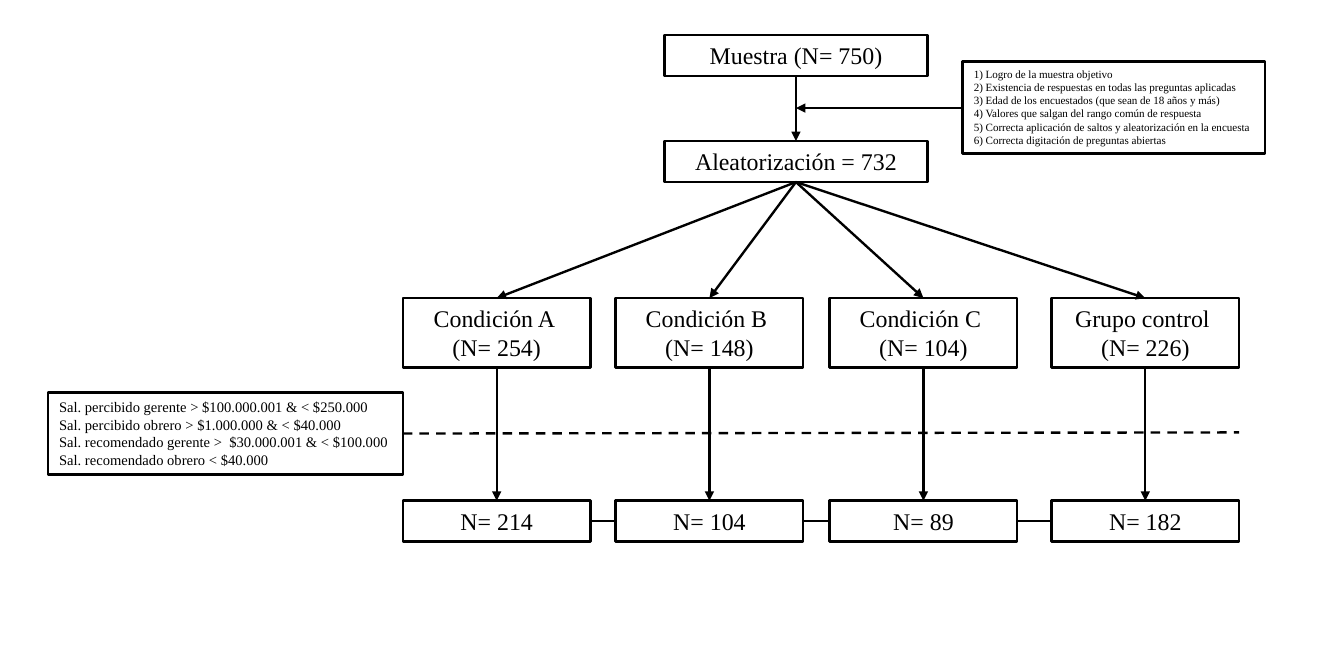
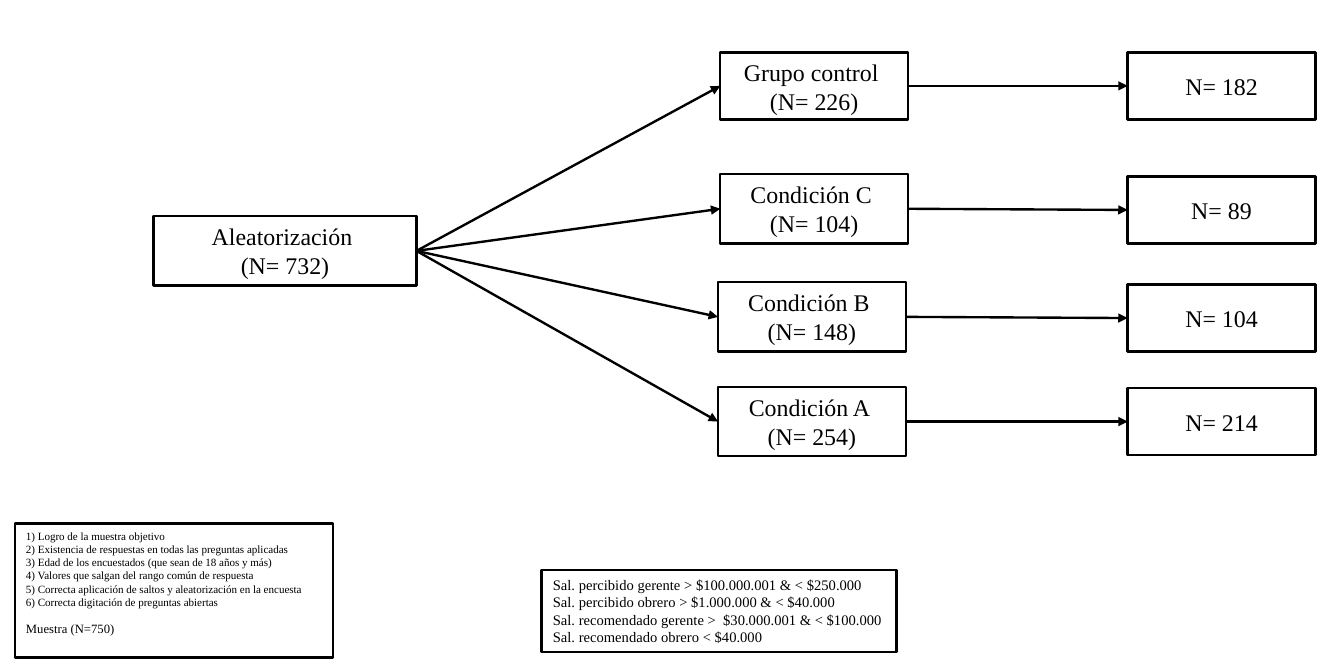
from lxml import etree
from pptx import Presentation
from pptx.dml.color import RGBColor
from pptx.enum.dml import MSO_LINE
from pptx.enum.shapes import MSO_CONNECTOR, MSO_SHAPE
from pptx.enum.text import MSO_ANCHOR, PP_ALIGN
from pptx.oxml.ns import qn
from pptx.util import Inches, Pt

BLACK = RGBColor(0x00, 0x00, 0x00)
WHITE = RGBColor(0xFF, 0xFF, 0xFF)
FONT = "Times New Roman"
STROKE = Pt(1.5)
RECT = MSO_SHAPE.RECTANGLE
STRAIGHT = MSO_CONNECTOR.STRAIGHT
DASH = MSO_LINE.DASH
LEFT, CENTER = PP_ALIGN.LEFT, PP_ALIGN.CENTER
TOP, MIDDLE = MSO_ANCHOR.TOP, MSO_ANCHOR.MIDDLE

# The slide is 30 by 15 cm
CM = 1 / 2.54
SLIDE_W, SLIDE_H = 30 * CM, 15 * CM

# Connection sites of a rectangle
NORTH, WEST, SOUTH, EAST = range(4)

BOX_W, TALL, LOW = 1.65, 0.61, 0.36
HEAD_W = 2.31

# Name, cases assigned, cases kept
GROUPS = [
    ("Condición A ", 254, 214),
    ("Condición B ", 148, 104),
    ("Condición C ", 104, 89),
    ("Grupo control ", 226, 182),
]
CHECKS = [
    "1) Logro de la muestra objetivo",
    "2) Existencia de respuestas en todas las preguntas aplicadas",
    "3) Edad de los encuestados (que sean de 18 años y más)",
    "4) Valores que salgan del rango común de respuesta",
    "5) Correcta aplicación de saltos y aleatorización en la encuesta",
    "6) Correcta digitación de preguntas abiertas",
]
LIMITS = [
    "Sal. percibido gerente > $100.000.001 & < $250.000",
    "Sal. percibido obrero > $1.000.000 & < $40.000",
    "Sal. recomendado gerente >  $30.000.001 & < $100.000",
    "Sal. recomendado obrero < $40.000",
]


def write(frame, lines, size=15.1, align=CENTER, anchor=TOP):
    frame.word_wrap = True
    frame.vertical_anchor = anchor
    for i, line in enumerate(lines):
        para = frame.paragraphs[0] if i == 0 else frame.add_paragraph()
        add_run(para, line, size, align)


def add_run(para, text, size, align):
    para.alignment = align
    run = para.add_run()
    run.text = text
    run.font.name = FONT
    run.font.size = Pt(size)
    run.font.color.rgb = BLACK


def add_box(slide, x, y, w, h, lines, **style):
    box = slide.shapes.add_shape(RECT, Inches(x), Inches(y), Inches(w), Inches(h))
    box.shadow.inherit = False
    box.fill.solid()
    box.fill.fore_color.rgb = WHITE
    box.line.color.rgb = BLACK
    box.line.width = STROKE
    write(box.text_frame, lines, **style)
    return box


def add_line(slide, start, end, arrow=True, dash=None):
    """Join two points in inches."""
    link = slide.shapes.add_connector(STRAIGHT, *(Inches(v) for v in (*start, *end)))
    link.line.color.rgb = BLACK
    link.line.width = STROKE
    if dash:
        link.line.dash_style = dash
    if arrow:
        etree.SubElement(link.line._get_or_add_ln(), qn("a:tailEnd"), type="triangle")
    etree.SubElement(link._element.spPr, qn("a:effectLst"))
    return link


def join(slide, first, out, second, into, arrow=True):
    """Glue a line to one site of each box."""
    link = add_line(slide, (0, 0), (0, 0), arrow)
    link.begin_connect(first, out)
    link.end_connect(second, into)


def add_checks(slide, x, y, w, h):
    return add_box(slide, x, y, w, h, CHECKS, size=7, align=LEFT)


def add_limits(slide, x, y):
    return add_box(slide, x, y, 3.12, 0.72, LIMITS, size=9.2, align=LEFT)


def add_column(slide, x, y, group):
    """Place a group above the cases it keeps."""
    name, cases, kept = group
    top = add_box(slide, x, y, BOX_W, TALL, [name, f"(N= {cases})"])
    base = add_box(slide, x, y + 1.78, BOX_W, LOW, [f"N= {kept}"])
    join(slide, top, SOUTH, base, NORTH)
    return top, base


def add_row(slide, x, y, h, end_y, group):
    """Place a group to the left of the cases it keeps."""
    name, cases, kept = group
    box = add_box(slide, x, y, BOX_W, h, [name, f"(N= {cases})"])
    end = add_box(slide, 9.91, end_y, BOX_W, 0.59, [f"N= {kept}"], anchor=MIDDLE)
    join(slide, box, EAST, end, WEST)
    return box


def draw_down(slide):
    """Flow from top to bottom."""
    x, y = 5.84, 0.31
    mid = x + HEAD_W / 2
    sample = add_box(slide, x, y, HEAD_W, LOW, ["Muestra (N= 750)"])
    split = add_box(slide, x, y + 0.93, HEAD_W, LOW, ["Aleatorización = 732"])
    join(slide, sample, SOUTH, split, NORTH)

    last = None
    for left, group in zip((3.54, 5.41, 7.29, 9.24), GROUPS):
        top, base = add_column(slide, left, 2.62, group)
        join(slide, split, SOUTH, top, NORTH)
        if last:
            join(slide, base, WEST, last, EAST, arrow=False)
        last = base

    add_limits(slide, 0.42, 3.45)
    add_line(slide, (3.54, 3.81), (10.89, 3.8), arrow=False, dash=DASH)
    add_checks(slide, 8.46, 0.54, 2.66, 0.81)
    add_line(slide, (8.46, 0.95), (mid, 0.95))


def draw_across(slide):
    """Flow from left to right."""
    split = add_box(slide, 1.35, 1.9, HEAD_W, TALL, ["Aleatorización ", "(N= 732)"])
    rows = [
        (6.31, 3.4, TALL, 3.41),
        (6.31, 2.48, TALL, 2.5),
        (6.33, 1.53, TALL, 1.55),
        (6.33, 0.46, 0.59, 0.46),
    ]
    for row, group in zip(rows, GROUPS):
        join(slide, split, EAST, add_row(slide, *row, group), WEST)

    add_limits(slide, 4.76, 5.01)
    checks = add_checks(slide, 0.13, 4.6, 2.8, 1.18)
    para = checks.text_frame.add_paragraph()
    para.space_before = Pt(8)
    add_run(para, "Muestra (N=750)", 8, LEFT)


def main():
    deck = Presentation()
    deck.slide_width = Inches(SLIDE_W)
    deck.slide_height = Inches(SLIDE_H)
    for draw in (draw_down, draw_across):
        draw(deck.slides.add_slide(deck.slide_layouts[6]))
    deck.save("out.pptx")


if __name__ == "__main__":
    main()
